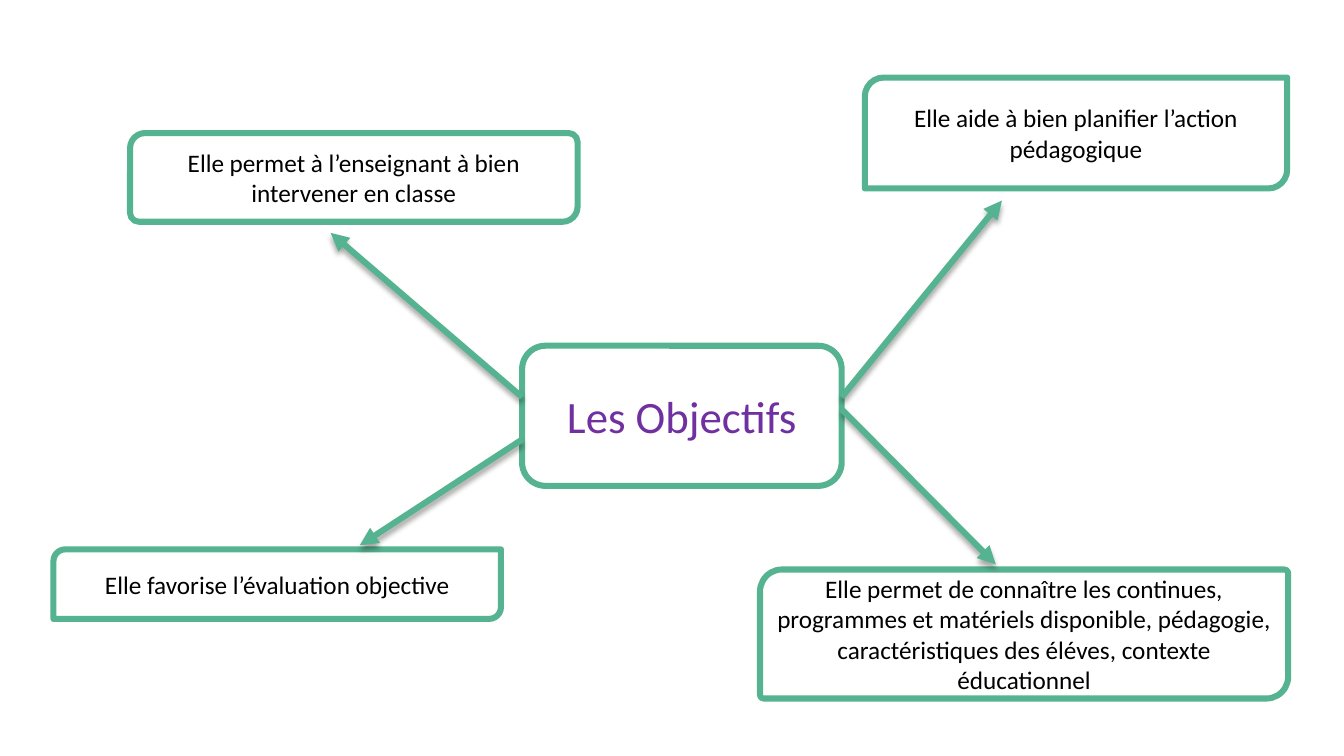
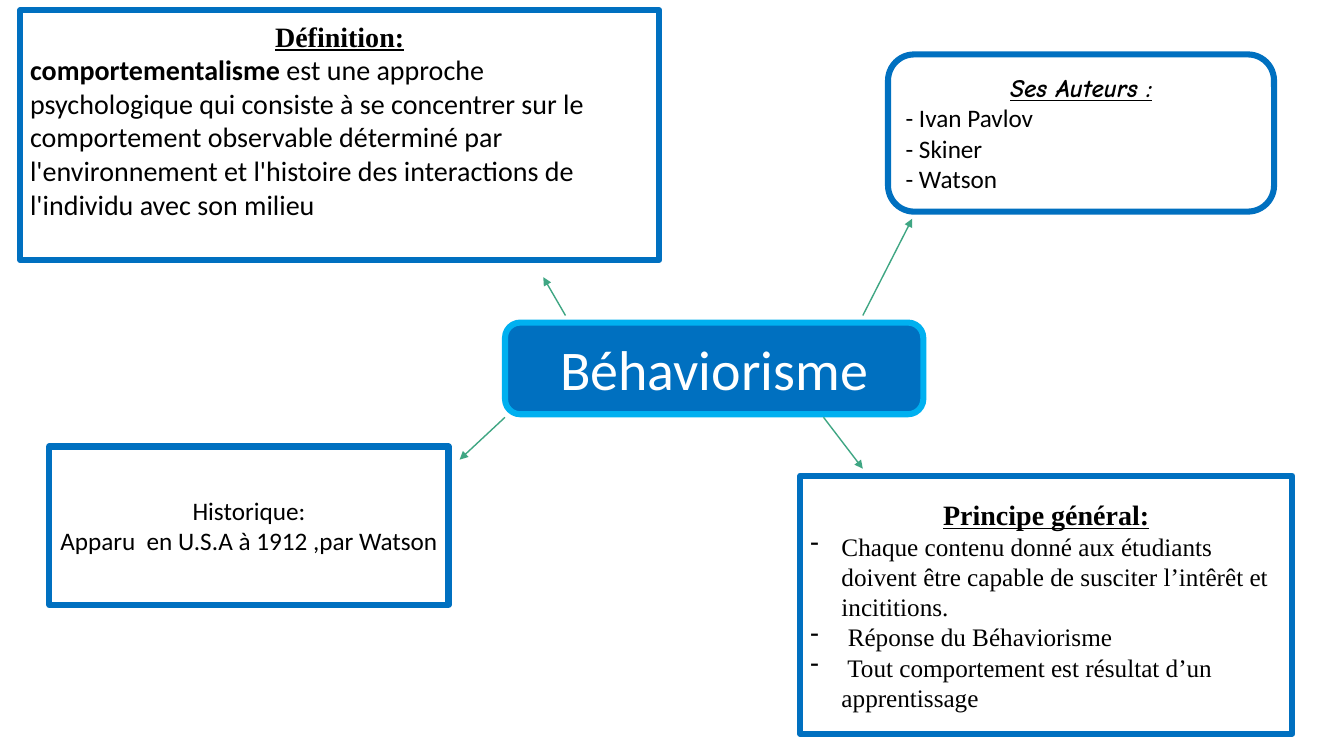
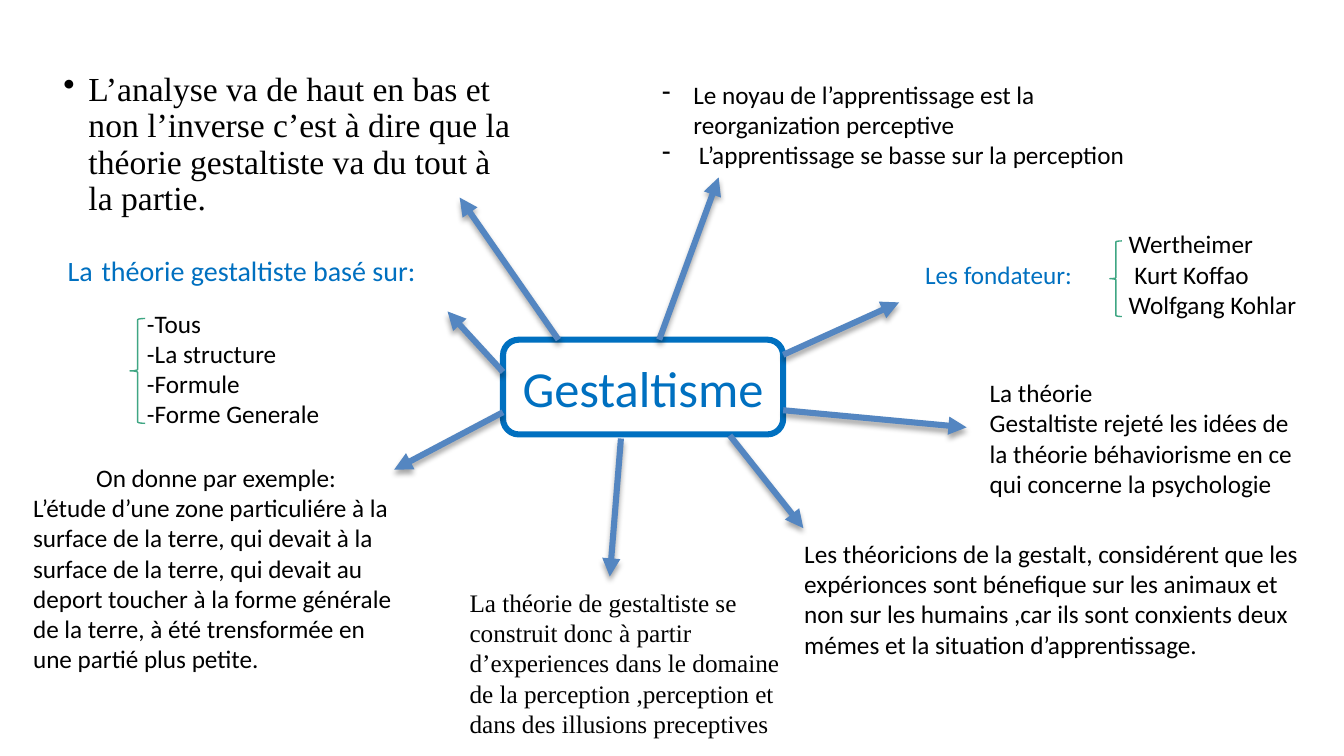
from lxml.etree import SubElement
from pptx import Presentation
from pptx.dml.color import RGBColor
from pptx.enum.shapes import MSO_CONNECTOR, MSO_SHAPE as SHAPE
from pptx.enum.text import MSO_ANCHOR as ANCHOR, MSO_AUTO_SIZE, PP_ALIGN as ALIGN
from pptx.oxml.ns import qn
from pptx.util import Emu, Inches, Pt

BLACK = RGBColor(0x00, 0x00, 0x00)
WHITE = RGBColor(0xFF, 0xFF, 0xFF)
GREEN = RGBColor(0x55, 0xB3, 0x91)
DARK_GREEN = RGBColor(0x3F, 0xA6, 0x83)
BLUE = RGBColor(0x00, 0x70, 0xC0)
SKY = RGBColor(0x00, 0xB0, 0xF0)
STEEL = RGBColor(0x54, 0x86, 0xC1)
PURPLE = RGBColor(0x70, 0x30, 0xA0)

COLS, ROWS = 40, 22.5
THICK, THIN = 4.33, 1
SERIF = {"name": "Times New Roman"}
HEADING = {**SERIF, "size": Pt(20), "bold": True, "underline": True}


def para(*runs, bullet=None, hang=0.31, **fmt):
    """Runs are strings or (string, font values); fmt holds paragraph values."""
    return runs, bullet, hang, fmt


def centred(text, **font):
    return para((text, font), alignment=ALIGN.CENTER)


class Deck:
    font = {"name": "Calibri", "size": Pt(18), "color": BLACK}

    def __init__(self):
        self.prs = Presentation()
        self.prs.slide_width, self.prs.slide_height = Inches(13.333), Inches(7.5)
        self.s = None

    def slide(self, titled=False):
        self.s = self.prs.slides.add_slide(self.prs.slide_layouts[5 if titled else 6])

    def x(self, cols):
        return Emu(round(cols * self.prs.slide_width / COLS))

    def y(self, rows):
        return Emu(round(rows * self.prs.slide_height / ROWS))

    def place(self, left, top, width, height):
        return self.x(left), self.y(top), self.x(width), self.y(height)

    def fill_text(self, sp, paras, anchor=ANCHOR.MIDDLE):
        tf = sp.text_frame
        tf.word_wrap, tf.auto_size, tf.vertical_anchor = True, MSO_AUTO_SIZE.NONE, anchor
        for i, (runs, bullet, hang, fmt) in enumerate(paras):
            p = tf.add_paragraph() if i else tf.paragraphs[0]
            for key, value in {"alignment": ALIGN.LEFT, **fmt}.items():
                setattr(p, key, value)
            if bullet:
                pPr = p._p.get_or_add_pPr()
                pPr.set("marL", str(Inches(hang)))
                pPr.set("indent", str(-Inches(hang)))
                SubElement(pPr, qn("a:buChar")).set("char", bullet)
            for run in runs:
                text, font = (run, {}) if isinstance(run, str) else run
                r = p.add_run()
                r.text = text
                for key, value in {**self.font, **font}.items():
                    if key == "color":
                        r.font.color.rgb = value
                    else:
                        setattr(r.font, key, value)

    def title(self, at, *paras):
        sp = self.s.shapes.title
        sp.left, sp.top, sp.width, sp.height = self.place(*at)
        self.fill_text(sp, paras)

    def text(self, at, *paras, anchor=ANCHOR.MIDDLE):
        self.fill_text(self.s.shapes.add_textbox(*self.place(*at)), paras, anchor)

    def shape(self, kind, at, *paras, line=BLUE, width=THICK, fill=None, adj=()):
        sp = self.s.shapes.add_shape(kind, *self.place(*at))
        sp.shadow.inherit = False
        for i, value in enumerate(adj):
            sp.adjustments[i] = value
        if fill is None:
            sp.fill.background()
        else:
            sp.fill.solid()
            sp.fill.fore_color.rgb = fill
        sp.line.color.rgb, sp.line.width = line, Pt(width)
        if paras:
            self.fill_text(sp, paras)
        return sp

    def arrow(self, x1, y1, x2, y2, color, width=THICK, shadow=True):
        c = self.s.shapes.add_connector(
            MSO_CONNECTOR.STRAIGHT, self.x(x1), self.y(y1), self.x(x2), self.y(y2))
        c.line.color.rgb, c.line.width = color, Pt(width)
        spPr = c._element.spPr
        SubElement(spPr.find(qn("a:ln")), qn("a:tailEnd")).set("type", "triangle")
        effects = SubElement(spPr, qn("a:effectLst"))
        if shadow:
            outer = SubElement(effects, qn("a:outerShdw"), blurRad=str(Pt(4)),
                               dist=str(Pt(3)), dir="5400000", rotWithShape="0")
            clr = SubElement(outer, qn("a:srgbClr"), val=str(BLACK))
            SubElement(clr, qn("a:alpha"), val="35000")


def objectives(d):
    d.slide()
    d.shape(SHAPE.ROUNDED_RECTANGLE, (15.54, 10.29, 9.51, 4.17),
            centred("Les Objectifs", size=Pt(32), color=PURPLE), line=GREEN, fill=WHITE)
    # Objectives around the centre
    for at, square, text in (
        ((25.74, 2.31, 12.57, 3.3), 0, "Elle aide à bien planifier l’action pédagogique"),
        ((22.62, 16.95, 15.72, 3.84), 0.03,
         "Elle permet de connaître les continues, programmes et matériels disponible, "
         "pédagogie, caractéristiques des éléves, contexte éducationnel"),
        ((3.87, 3.96, 13.32, 2.64), 0.1,
         "Elle permet à l’enseignant à bien intervener en classe"),
        ((1.59, 16.35, 13.32, 2.07), 0, "Elle favorise l’évaluation objective"),
    ):
        d.shape(SHAPE.ROUND_2_DIAG_RECTANGLE, at, centred(text),
                line=GREEN, fill=WHITE, adj=(0.17, square))
    for ends in ((25.05, 11.82, 29.82, 5.97), (15.54, 11.82, 9.84, 6.93),
                 (25.05, 12.18, 29.64, 16.8), (15.54, 13.08, 10.71, 16.23)):
        d.arrow(*ends, GREEN)


def behaviourism(d):
    d.slide()
    d.shape(SHAPE.FLOWCHART_ALTERNATE_PROCESS, (15.03, 9.6, 12.45, 2.73),
            centred("Béhaviorisme", size=Pt(40), color=WHITE), line=SKY, fill=BLUE)
    # Authors
    d.shape(SHAPE.ROUNDED_RECTANGLE, (26.43, 1.62, 11.49, 4.68),
            centred("Ses Auteurs :", name="Comic Neue", bold=True, italic=True, underline=True),
            para("- Ivan Pavlov"), para("- Skiner"), para("- Watson"), fill=WHITE)
    # Definition, kept above the middle by a deeper bottom inset
    definition = d.shape(
        SHAPE.RECTANGLE, (0.6, 0.3, 19.02, 7.44),
        centred("Définition:", **HEADING),
        para(("comportementalisme", {"size": Pt(20), "bold": True}),
             (" est une approche psychologique qui consiste à se concentrer sur "
              "le comportement observable déterminé par l'environnement et l'histoire "
              "des interactions de l'individu avec son milieu", {"size": Pt(20)})))
    definition.text_frame.margin_bottom = d.y(1.05)
    # History
    d.shape(SHAPE.RECTANGLE, (1.47, 13.29, 11.88, 4.71),
            centred("Historique:"), centred("Apparu  en U.S.A à 1912 ,par Watson"))
    # General principle
    principles = (
        "Chaque contenu donné aux étudiants doivent être capable de susciter "
        "l’intêrêt et incititions.",
        " Réponse du Béhaviorisme",
        " Tout comportement est résultat d’un apprentissage",
    )
    d.shape(SHAPE.RECTANGLE, (23.82, 14.16, 14.64, 7.68),
            centred("Principe général:", **HEADING),
            *(para((text, SERIF), bullet="-") for text in principles))
    for ends in ((25.68, 9.39, 27.15, 6.51), (15.03, 12.42, 13.68, 13.68),
                 (16.83, 9.39, 16.17, 8.25), (24.51, 12.42, 25.68, 13.95)):
        d.arrow(*ends, DARK_GREEN, THIN, shadow=False)


def gestalt(d):
    d.slide(titled=True)
    heading = {"size": Pt(20), "color": BLUE}
    d.title((1.71, 6.78, 11.16, 2.43),
            para(("La", heading), (" ", {"size": Pt(28)}),
                 ("théorie gestaltiste basé sur:", heading), line_spacing=0.9))
    d.text((1.59, 2.01, 14.07, 5.55),
           para(("L’analyse va de haut en bas et non l’inverse c’est à dire que la "
                 "théorie gestaltiste va du tout à la partie.", {**SERIF, "size": Pt(24)}),
                bullet="•", hang=0.25, line_spacing=0.9, space_before=Pt(10)),
           anchor=ANCHOR.TOP)
    d.shape(SHAPE.ROUNDED_RECTANGLE, (14.97, 10.11, 8.34, 2.82),
            centred("Gestaltisme", size=Pt(36), color=BLUE))
    # Notions and founders, each list held by a brace
    d.text((4.08, 8.67, 6.09, 4.59),
           *map(para, ("-Tous", "-La structure", "-Formule", "-Forme Generale")))
    d.text((27.24, 5.22, 6, 5.88), para(("Les fondateur:", {"color": BLUE})))
    d.text((33.3, 5.22, 6.6, 5.88),
           *map(para, ("Wertheimer", " Kurt Koffao", "Wolfgang Kohlar")))
    for at in ((3.87, 9.48, 0.45, 3.12), (33.03, 7.17, 0.36, 2.25)):
        d.shape(SHAPE.LEFT_BRACE, at, line=DARK_GREEN, width=THIN)
    # Notes around the centre
    d.text((0.69, 13.53, 11.49, 6.75),
           centred("On donne par exemple:"),
           para("L’étude d’une zone particuliére à la surface de la terre, qui devait à la "
                "surface de la terre, qui devait au deport toucher à la forme générale de "
                "la terre, à été trensformée en une partié plus petite."))
    d.text((19.41, 0.93, 15.72, 5.55),
           para("Le noyau de l’apprentissage est la reorganization perceptive", bullet="-"),
           para(" L’apprentissage se basse sur la perception", bullet="-"))
    d.text((29.16, 11.07, 9.99, 3.93),
           para("La théorie"),
           para("Gestaltiste rejeté les idées de la théorie béhaviorisme en ce qui "
                "concerne la psychologie"))
    d.text((23.64, 15.36, 15.54, 4.92),
           para("Les théoricions de la gestalt, considérent que les expérionces sont "
                "bénefique sur les animaux et non sur les humains ,car ils sont conxients "
                "deux mémes et la situation d’apprentissage."))
    d.text((13.68, 15.99, 9.96, 7.47),
           para(("La théorie de gestaltiste se construit donc à partir d’experiences dans "
                 "le domaine de la perception ,perception et dans des illusions preceptives",
                 SERIF)))
    for ends in ((16.62, 10.11, 13.68, 5.88), (19.62, 10.11, 21.39, 5.28),
                 (14.97, 11.07, 13.32, 9.27), (14.97, 12.27, 11.73, 13.98),
                 (18.48, 13.05, 18.15, 17.16), (23.31, 12.21, 28.77, 12.72),
                 (21.72, 12.96, 23.91, 15.72), (23.31, 10.56, 26.76, 9)):
        d.arrow(*ends, STEEL)


def main():
    d = Deck()
    for build in (objectives, behaviourism, gestalt):
        build(d)
    d.prs.save("out.pptx")


if __name__ == "__main__":
    main()
